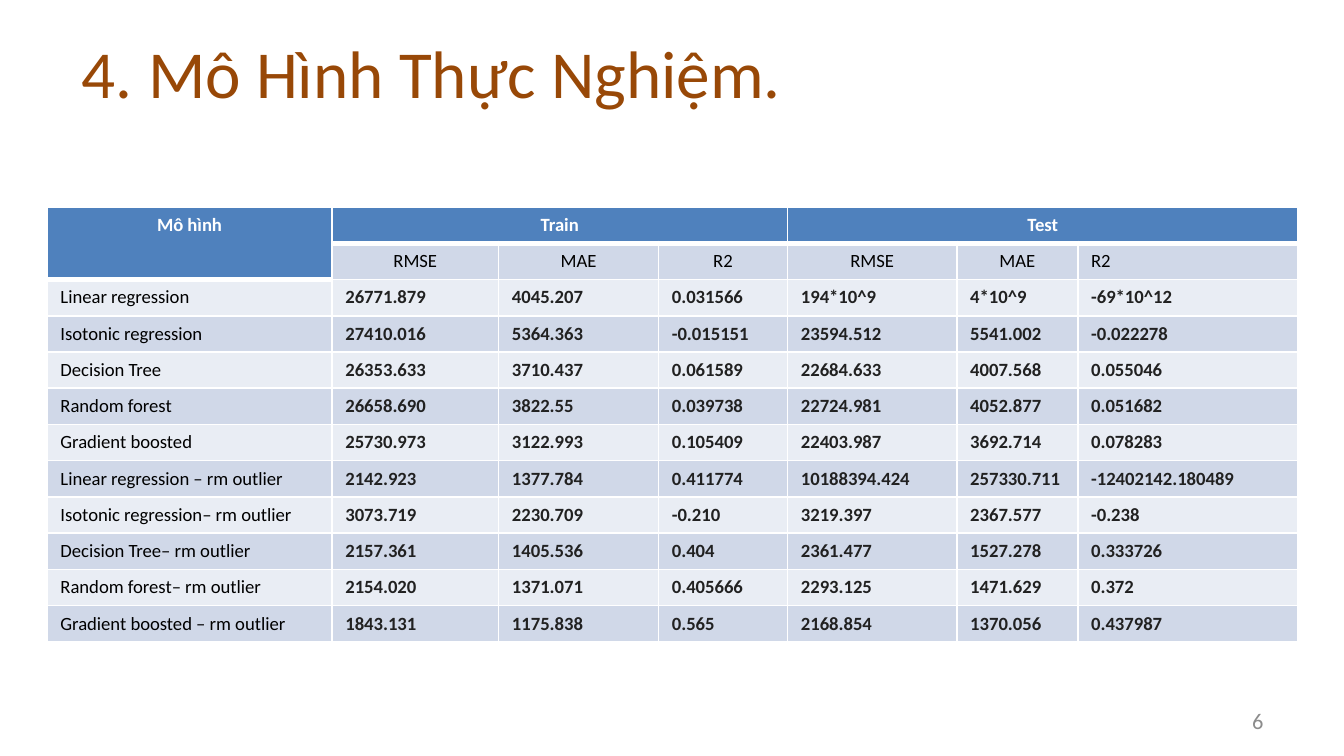
from lxml.etree import SubElement
from pptx import Presentation
from pptx.dml.color import RGBColor
from pptx.enum.text import MSO_ANCHOR as Anchor, MSO_AUTO_SIZE as AutoSize, PP_ALIGN as Align
from pptx.oxml.ns import qn
from pptx.util import Inches, Pt

COLORS = {
    "title": "984807", "header": "4F81BD", "white": "FFFFFF", "black": "000000",
    "value": "212121", "dark band": "D0D8E8", "light band": "E9EDF4", "number": "8C8C8C",
}


def write(frame, text, size=10, color="black", bold=False, align=Align.LEFT):
    paragraph = frame.paragraphs[0]
    paragraph.alignment = align
    run = paragraph.add_run()
    run.text = text
    run.font.name = "Calibri"
    run.font.size = Pt(size)
    run.font.bold = bold
    run.font.color.rgb = RGBColor.from_string(COLORS[color])


def format_cell(cell, fill, bottom=1):
    cell.fill.solid()
    cell.fill.fore_color.rgb = RGBColor.from_string(COLORS[fill])
    # Borders come before the fill in the cell properties
    properties = cell._tc.get_or_add_tcPr()
    for index, side in enumerate(("lnL", "lnR", "lnT", "lnB")):
        width = Pt(bottom if side == "lnB" else 1)
        border = SubElement(properties, qn(f"a:{side}"), w=str(width))
        SubElement(SubElement(border, qn("a:solidFill")), qn("a:srgbClr"), val=COLORS["white"])
        properties.insert(index, border)


# Widescreen slide, 16:9
prs = Presentation()
prs.slide_width = Inches(10)
prs.slide_height = prs.slide_width * 9 // 16
slide = prs.slides.add_slide(prs.slide_layouts[5])

# Title
title = slide.shapes.title
title.left, title.top, title.width, title.height = map(Inches, (0.51, 0.11, 9.03, 0.84))
title.text_frame.auto_size = AutoSize.NONE
title.text_frame.vertical_anchor = Anchor.MIDDLE
write(title.text_frame, "4. Mô Hình Thực Nghiệm.", size=36, color="title")

# Results by model: train RMSE, MAE, R2, then test RMSE, MAE, R2
METRICS = ["RMSE", "MAE", "R2"] * 2
RESULTS = [
    ("Linear regression", "26771.879", "4045.207", "0.031566", "194*10^9", "4*10^9", "-69*10^12"),
    ("Isotonic regression", "27410.016", "5364.363", "-0.015151", "23594.512", "5541.002", "-0.022278"),
    ("Decision Tree", "26353.633", "3710.437", "0.061589", "22684.633", "4007.568", "0.055046"),
    ("Random forest", "26658.690", "3822.55", "0.039738", "22724.981", "4052.877", "0.051682"),
    ("Gradient boosted ", "25730.973", "3122.993", "0.105409", "22403.987", "3692.714", "0.078283"),
    ("Linear regression – rm outlier", "2142.923", "1377.784", "0.411774",
     "10188394.424", "257330.711", "-12402142.180489"),
    ("Isotonic regression– rm outlier", "3073.719", "2230.709", "-0.210", "3219.397", "2367.577", "-0.238"),
    ("Decision Tree– rm outlier", "2157.361", "1405.536", "0.404", "2361.477", "1527.278", "0.333726"),
    ("Random forest– rm outlier", "2154.020", "1371.071", "0.405666", "2293.125", "1471.629", "0.372"),
    ("Gradient boosted – rm outlier", "1843.131", "1175.838", "0.565", "2168.854", "1370.056", "0.437987"),
]
COLUMN_WIDTHS = [2.12, 1.24, 1.19, 0.96, 1.26, 0.9, 1.64]
ROW_HEIGHT = 0.27
row_count = len(RESULTS) + 2
results = slide.shapes.add_table(
    row_count, len(COLUMN_WIDTHS), Inches(0.35), Inches(1.54),
    Inches(sum(COLUMN_WIDTHS)), Inches(ROW_HEIGHT * row_count)).table
for column, width in zip(results.columns, COLUMN_WIDTHS):
    column.width = Inches(width)
for row in results.rows:
    row.height = Inches(ROW_HEIGHT)

# Group headings
for column in range(len(COLUMN_WIDTHS)):
    format_cell(results.cell(0, column), "header", bottom=3)
format_cell(results.cell(1, 0), "header", bottom=3)
for heading, column, last_row, last_column in (
        ("Mô hình", 0, 1, 0), ("Train", 1, 0, 3), ("Test", 4, 0, 6)):
    group = results.cell(0, column)
    group.merge(results.cell(last_row, last_column))
    write(group.text_frame, heading, color="white", bold=True, align=Align.CENTER)

# Metric names, all centred but the last
for column, metric in enumerate(METRICS, start=1):
    cell = results.cell(1, column)
    format_cell(cell, "dark band")
    write(cell.text_frame, metric, align=Align.LEFT if column == len(METRICS) else Align.CENTER)

# Model rows
for row, (model, *scores) in enumerate(RESULTS, start=2):
    band = "dark band" if row % 2 else "light band"
    for column, text in enumerate([model, *scores]):
        cell = results.cell(row, column)
        format_cell(cell, band)
        write(cell.text_frame, text, color="value" if column else "black", bold=column > 0)

# Slide number
number = slide.shapes.add_textbox(*map(Inches, (7.17, 5.21, 2.33, 0.3))).text_frame
number.word_wrap = True
number.vertical_anchor = Anchor.MIDDLE
write(number, "6", size=12, color="number", align=Align.RIGHT)

prs.save("out.pptx")
